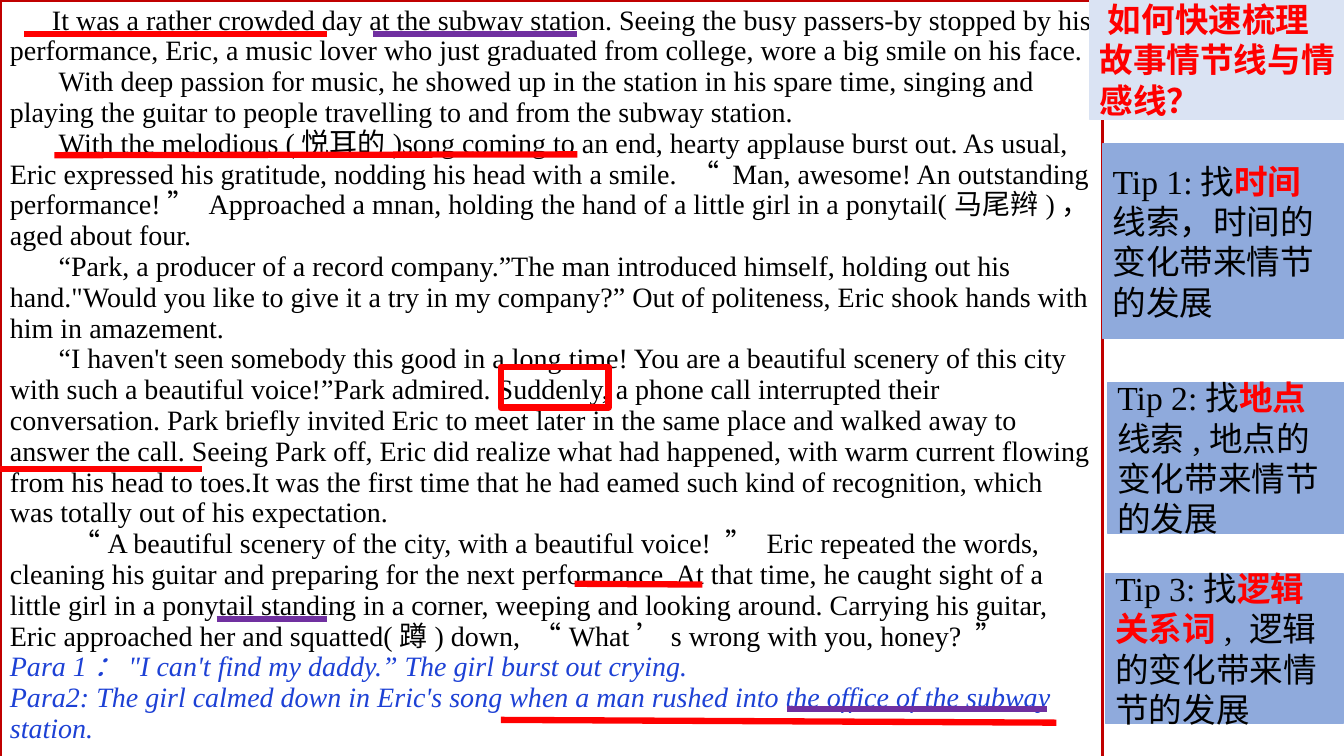
from pptx import Presentation
from pptx.dml.color import RGBColor
from pptx.enum.shapes import MSO_CONNECTOR, MSO_SHAPE
from pptx.enum.text import MSO_ANCHOR, PP_ALIGN
from pptx.oxml.ns import qn
from pptx.util import Cm, Pt

BLACK = RGBColor(0x00, 0x00, 0x00)
RED = RGBColor(0xFF, 0x00, 0x00)
DARK_RED = RGBColor(0xC0, 0x00, 0x00)
BLUE_TEXT = RGBColor(0x1D, 0x41, 0xD5)
PURPLE = RGBColor(0x70, 0x30, 0xA0)
PALE_BLUE = RGBColor(0xDA, 0xE3, 0xF3)
MID_BLUE = RGBColor(0x8F, 0xAA, 0xDC)
RECTANGLE = MSO_SHAPE.RECTANGLE
STRAIGHT = MSO_CONNECTOR.STRAIGHT
TOP, MIDDLE = MSO_ANCHOR.TOP, MSO_ANCHOR.MIDDLE
LEFT = PP_ALIGN.LEFT

STORY_STYLE = {"name": "Times New Roman", "size": Pt(20), "color": BLACK}
OPENING_STYLE = STORY_STYLE | {"italic": True, "color": BLUE_TEXT}
TIP_STYLE = {"name": "Times New Roman", "size": Pt(24), "color": BLACK}
KEY_STYLE = TIP_STYLE | {"bold": True, "color": RED}

STORY = [
    (1.06, "It was a rather crowded day at the subway station. Seeing the busy passers-by stopped by his performance, Eric, a music lover who just graduated from college, wore a big smile on his face."),
    (1.23, "With deep passion for music, he showed up in the station in his spare time, singing and playing the guitar to people travelling to and from the subway station."),
    (1.23, "With the melodious (悦耳的)song coming to an end, hearty applause burst out. As usual, Eric expressed his gratitude, nodding his head with a smile. “ Man, awesome! An outstanding performance!” Approached a mnan, holding the hand of a little girl in a ponytail(马尾辫)，aged about four."),
    (1.23, "“Park, a producer of a record company.”The man introduced himself, holding out his hand.\"Would you like to give it a try in my company?” Out of politeness, Eric shook hands with him in amazement."),
    (1.23, "“I haven't seen somebody this good in a long time! You are a beautiful scenery of this city with such a beautiful voice!”Park admired. Suddenly, a phone call interrupted their conversation. Park briefly invited Eric to meet later in the same place and walked away to answer the call. Seeing Park off, Eric did realize what had happened, with warm current flowing from his head to toes.It was the first time that he had eamed such kind of recognition, which was totally out of his expectation."),
    (1.59, "“A beautiful scenery of the city, with a beautiful voice! ” Eric repeated the words, cleaning his guitar and preparing for the next performance. At that time, he caught sight of a little girl in a ponytail standing in a corner, weeping and looking around. Carrying his guitar, Eric approached her and squatted(蹲) down, “What’s wrong with you, honey? ”"),
]
OPENINGS = [
    "Para 1：\"I can't find my daddy.” The girl burst out crying.",
    "Para2: The girl calmed down in Eric's song when a man rushed into the office of the subway station.",
]
TIPS = [
    ((27.79, 3.63, 6.07, 4.9), "Tip 1:找", "时间", "线索，时间的变化带来情节的发展"),
    ((27.91, 9.65, 6.07, 3.78), "Tip 2:找", "地点", "线索,地点的变化带来情节的发展"),
    ((27.86, 14.45, 5.99, 3.78), "Tip 3:找", "逻辑关系词", ", 逻辑的变化带来情节的发展"),
]
UNDERLINES = [
    (RED, 0.61, 0.86, 8.23, 0.86),
    (RED, 1.37, 3.91, 14.55, 3.89),
    (RED, -0.03, 11.81, 5.08, 11.81),
    (RED, 14.48, 14.71, 17.7, 14.73),
    (RED, 12.62, 18.14, 26.62, 18.21),
    (PURPLE, 5.46, 15.6, 8.23, 15.6),
    (PURPLE, 9.4, 0.86, 14.55, 0.86),
    (PURPLE, 19.84, 17.86, 26.39, 17.86),
]


def add_box(page, area, line_color, line_width, fill_color=None, anchor=MIDDLE):
    """Draw a rectangle with a wrapping text frame and return it."""
    box = page.shapes.add_shape(RECTANGLE, *map(Cm, area))
    box.shadow.inherit = False
    if fill_color is None:
        box.fill.background()
    else:
        box.fill.solid()
        box.fill.fore_color.rgb = fill_color
    box.line.color.rgb = line_color
    box.line.width = Pt(line_width)
    box.text_frame.word_wrap = True
    box.text_frame.vertical_anchor = anchor
    box.text_frame.paragraphs[0].alignment = LEFT
    return box


def add_span(para, text, style):
    """Append a run of text formatted from a style dict."""
    span = para.add_run()
    span.text = text
    for name, value in style.items():
        if name == "color":
            span.font.color.rgb = value
        else:
            setattr(span.font, name, value)


def indent_first_line(para, indent):
    """Indent the first line of a paragraph by a length in centimetres."""
    properties = para._p.get_or_add_pPr()
    properties.set("marL", "0")
    properties.set("indent", str(int(Cm(indent))))


def add_story(page, area):
    """Place the reading passage and the two paragraph openings."""
    frame = add_box(page, area, DARK_RED, 2.25, anchor=TOP).text_frame
    rows = [(indent, text, STORY_STYLE) for indent, text in STORY]
    rows += [(0, text, OPENING_STYLE) for text in OPENINGS]
    for index, (indent, text, style) in enumerate(rows):
        para = frame.add_paragraph() if index else frame.paragraphs[0]
        para.alignment = LEFT
        para.line_spacing = Pt(22)
        indent_first_line(para, indent)
        add_span(para, text, style)


def add_question(page, area):
    """Place the heading question above the tips."""
    box = add_box(page, area, PALE_BLUE, 1, PALE_BLUE)
    para = box.text_frame.paragraphs[0]
    indent_first_line(para, 0.21)
    add_span(para, "如何快速梳理故事情节线与情感线？", KEY_STYLE)


def add_tip(page, area, label, key, advice):
    """Place one tip with its key word in red."""
    box = add_box(page, area, MID_BLUE, 1, MID_BLUE)
    para = box.text_frame.paragraphs[0]
    for text, style in ((label, TIP_STYLE), (key, KEY_STYLE), (advice, TIP_STYLE)):
        add_span(para, text, style)


def add_underline(page, color, *ends):
    """Draw a thick marker line between two points."""
    line = page.shapes.add_connector(STRAIGHT, *map(Cm, ends))
    line.line.color.rgb = color
    line.line.width = Pt(4.5)
    properties = line._element.spPr
    properties.append(properties.makeelement(qn("a:effectLst"), {}))


def main():
    """Build the deck and save it."""
    deck = Presentation()
    deck.slide_width, deck.slide_height = Cm(33.87), Cm(19.05)
    page = deck.slides.add_slide(deck.slide_layouts[6])
    add_story(page, (0, 0, 27.79, 19.08))
    add_question(page, (27.46, 0, 6.43, 3))
    for tip in TIPS:
        add_tip(page, *tip)
    for underline in UNDERLINES:
        add_underline(page, *underline)
    add_box(page, (12.62, 9.25, 2.72, 1.02), RED, 4.5)
    deck.save("out.pptx")


if __name__ == "__main__":
    main()
